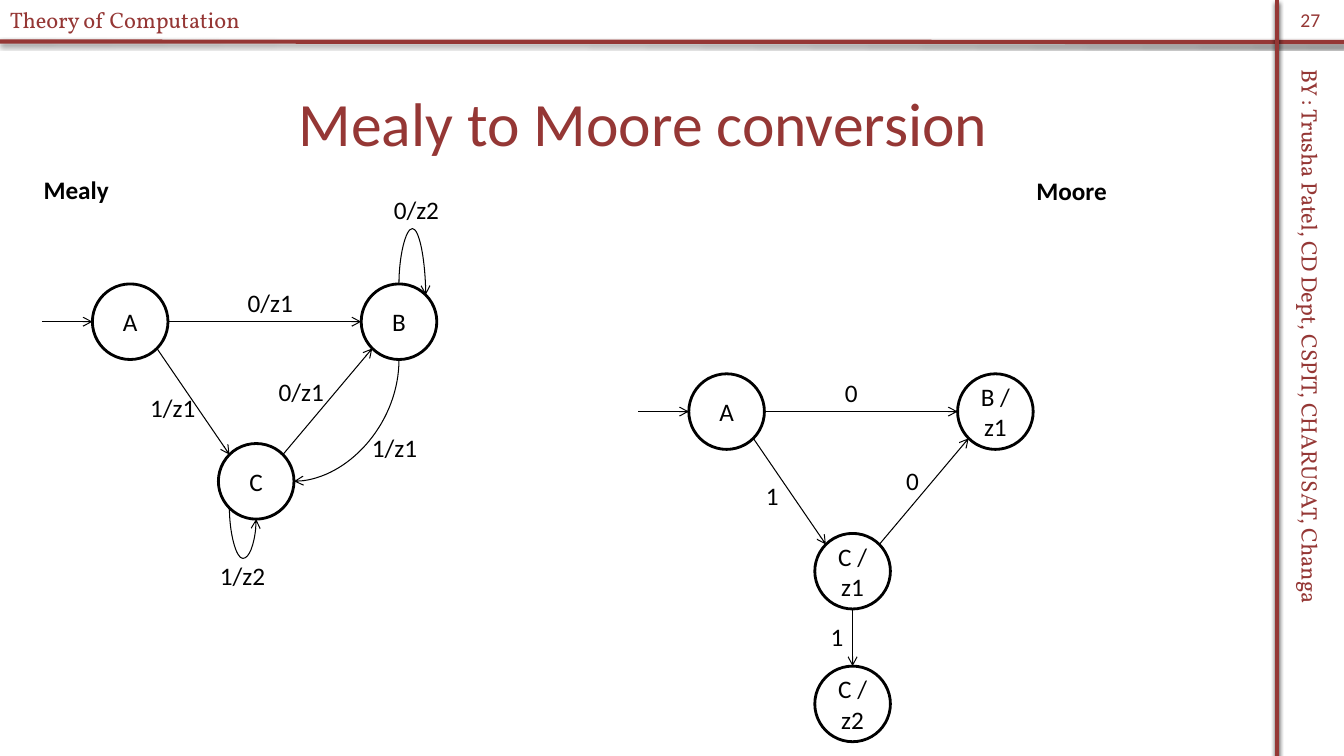
from dataclasses import dataclass
from math import cos, radians, sin

from lxml.etree import SubElement
from pptx import Presentation
from pptx.dml.color import RGBColor
from pptx.enum.shapes import MSO_CONNECTOR as Link, MSO_SHAPE as Preset
from pptx.enum.text import MSO_ANCHOR as Anchor, MSO_AUTO_SIZE as Fit, PP_ALIGN as Align
from pptx.oxml.ns import qn
from pptx.slide import Slide
from pptx.util import Inches, Pt

COLUMNS, ROWS = 160, 90
STATE_SIZE = 9
EAST, SOUTHEAST, SOUTH, SOUTHWEST, WEST, NORTHWEST, NORTH, NORTHEAST = range(0, 360, 45)


@dataclass(frozen=True)
class Theme:
    accent: RGBColor = RGBColor(0x95, 0x37, 0x35)
    ink: RGBColor = RGBColor(0, 0, 0)
    paper: RGBColor = RGBColor(255, 255, 255)
    face: str = "Calibri"
    serif: str = "Vollkorn"
    title: int = 44
    body: int = 18
    banner: int = 16
    number: int = 14
    rule: float = 3
    outline: float = 2
    edge: float = 0.75


@dataclass(frozen=True)
class State:
    left: float
    top: float

    def site(self, angle):
        radius, turn = STATE_SIZE / 2, radians(angle)
        return (self.left + radius * (1 + cos(turn)),
                self.top + radius * (1 + sin(turn)))


def cells(*counts):
    return [Inches(count / 12) for count in counts]


def assign(target, values):
    for name, value in values.items():
        setattr(target, name, value)


@dataclass
class Board:
    """Draws on one slide with a theme, in cells of a 160 by 90 grid."""
    theme: Theme
    slide: Slide

    def place(self, shape, left, top, width, height):
        assign(shape, dict(zip(("left", "top", "width", "height"),
                               cells(left, top, width, height))))

    def letter(self, frame, text, size, color, face=None, bold=False, align=Align.LEFT):
        frame.text = text
        paragraph = frame.paragraphs[0]
        paragraph.alignment = align
        assign(paragraph.font, {"size": Pt(size), "name": face or self.theme.face, "bold": bold})
        paragraph.font.color.rgb = color

    def title(self, text, *box):
        heading = self.slide.shapes.title
        self.place(heading, *box)
        heading.text_frame.vertical_anchor = Anchor.MIDDLE
        self.letter(heading.text_frame, text, self.theme.title, self.theme.accent,
                    align=Align.CENTER)

    def text(self, words, box, size=None, color=None, turn=0, frame=None, **style):
        note = self.slide.shapes.add_textbox(*cells(*box))
        note.rotation = turn
        assign(note.text_frame, frame or {"word_wrap": False, "auto_size": Fit.SHAPE_TO_FIT_TEXT})
        self.letter(note.text_frame, words, size or self.theme.body,
                    color or self.theme.ink, **style)

    def state(self, name, left, top):
        circle = self.slide.shapes.add_shape(
            Preset.OVAL, *cells(left, top, STATE_SIZE, STATE_SIZE))
        circle.shadow.inherit = False
        circle.fill.solid()
        circle.fill.fore_color.rgb = self.theme.paper
        circle.line.color.rgb = self.theme.ink
        circle.line.width = Pt(self.theme.outline)
        assign(circle.text_frame, {"word_wrap": True, "vertical_anchor": Anchor.MIDDLE})
        self.letter(circle.text_frame, name, self.theme.body, self.theme.ink, align=Align.CENTER)
        return State(left, top)

    def line(self, start, end, color, weight, kind=Link.STRAIGHT):
        link = self.slide.shapes.add_connector(kind, *cells(*start, *end))
        link.line.color.rgb = color
        link.line.width = Pt(weight)
        return link, SubElement(link._element.spPr, qn("a:effectLst"))

    def rule(self, start, end):
        _, effects = self.line(start, end, self.theme.accent, self.theme.rule)
        shadow = SubElement(effects, qn("a:outerShdw"), blurRad=str(int(Pt(3.1))),
                            dist=str(int(Pt(1.8))), dir="5400000", rotWithShape="0")
        tint = SubElement(shadow, qn("a:srgbClr"), val=str(self.theme.ink))
        SubElement(tint, qn("a:alpha"), val="73000")

    def arrow(self, start, end, kind=Link.STRAIGHT):
        link, _ = self.line(start, end, self.theme.ink, self.theme.edge, kind)
        SubElement(link._element.spPr.find(qn("a:ln")), qn("a:tailEnd"), type="arrow")
        return link

    def curve(self, start, end, bulge=None):
        link = self.arrow(start, end, Link.CURVE)
        (x1, y1), (x2, y2) = start, end
        width, height = abs(y2 - y1), abs(x2 - x1)
        self.place(link, (x1 + x2 - width) / 2, (y1 + y2 - height) / 2, width, height)
        frame = link._element.spPr.find(qn("a:xfrm"))
        frame.attrib.pop("flipH", None)
        frame.set("rot", "16200000" if x2 > x1 else "5400000")
        if x2 > x1:
            frame.set("flipH", "1")
        outline = link._element.spPr.find(qn("a:prstGeom"))
        if bulge is None:
            outline.set("prst", "curvedConnector2")
        else:
            guides = outline.find(qn("a:avLst"))
            if guides is None:
                guides = SubElement(outline, qn("a:avLst"))
            SubElement(guides, qn("a:gd"), name="adj1", fmla=f"val {round(bulge * 100000)}")

    def machine(self, left, top, names):
        offsets = ((0, 0), (32, 0), (15, 19))
        a, b, c = [self.state(name, left + x, top + y)
                   for name, (x, y) in zip(names, offsets)]
        entry_x, entry_y = a.site(WEST)
        self.arrow((entry_x - 6, entry_y), (entry_x, entry_y))
        self.arrow(a.site(EAST), b.site(WEST))
        self.arrow(a.site(SOUTHEAST), c.site(NORTHWEST))
        self.arrow(c.site(NORTHEAST), b.site(SOUTHWEST))
        return b, c

    def labels(self, width, entries):
        for words, left, top in entries:
            self.text(words, (left, top, width, 4.8))


def main():
    deck = Presentation()
    deck.slide_width, deck.slide_height = cells(COLUMNS, ROWS)
    theme = Theme()
    board = Board(theme, deck.slides.add_slide(deck.slide_layouts[5]))

    board.rule((0, 4.95), (COLUMNS, 5))
    board.rule((152, 0), (152, ROWS))
    banner = {"size": theme.banner, "color": theme.accent, "face": theme.serif}
    board.text("BY : Trusha Patel, CD Dept, CSPIT, CHARUSAT, Changa",
               (117.5, 43.4, 77, 4.4), turn=90, **banner)
    board.text("Theory of Computation", (0, 0.1, 39.5, 4.4), **banner)
    board.text("27", (152, 0, 8, 4.8), theme.number, theme.accent, align=Align.CENTER,
               frame={"word_wrap": True, "vertical_anchor": Anchor.MIDDLE})
    board.title("Mealy to Moore conversion", 2.6, 7, 148, 15)

    board.text("Mealy", (4, 20.2, 10.2, 4.8), bold=True)
    b, c = board.machine(11, 33.8, ("A", "B", "C"))
    board.curve(b.site(SOUTH), c.site(EAST))
    board.curve(b.site(NORTH), b.site(NORTHEAST), bulge=-5)
    board.curve(c.site(SOUTHWEST), c.site(SOUTH), bulge=4.55)
    board.labels(8, (("0/z1", 28.3, 33.6), ("1/z1", 16.7, 46.1), ("1/z2", 25, 66.1),
                     ("1/z1", 43.1, 50.9), ("0/z1", 32, 44.2), ("0/z2", 45.7, 22.6)))

    board.text("Moore", (122.2, 20.3, 10.9, 4.8), bold=True)
    _, c_z1 = board.machine(82, 44.5, ("A", "B / z1", "C / z1"))
    c_z2 = board.state("C / z2", c_z1.left, 79.3)
    board.arrow(c_z1.site(SOUTH), c_z2.site(NORTH))
    board.labels(4, (("0", 99.4, 44.3), ("1", 90, 56.6),
                     ("0", 106.7, 54.8), ("1", 97.7, 73.4)))

    deck.save("out.pptx")


if __name__ == "__main__":
    main()
